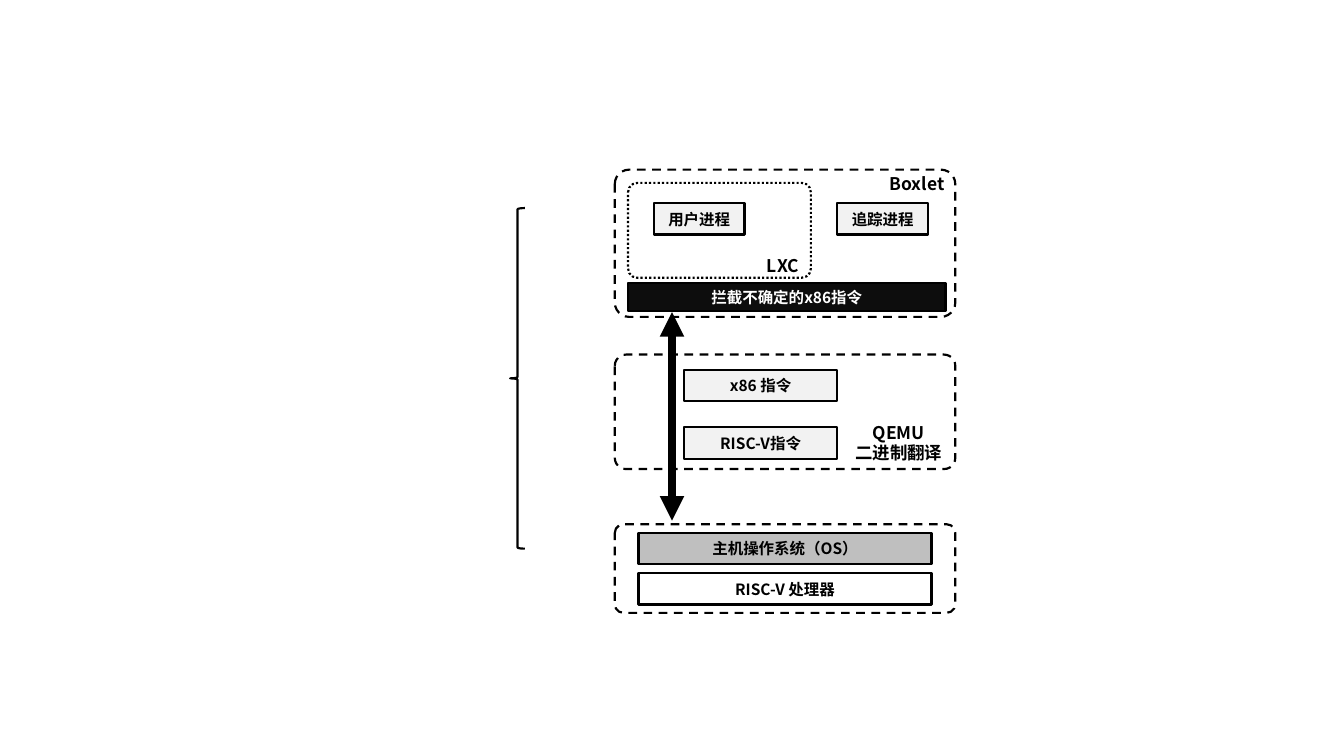
"""Draw the layered stack from the Boxlet container down to the RISC-V host."""
from dataclasses import dataclass

from lxml.etree import SubElement
from pptx import Presentation
from pptx.dml.color import RGBColor
from pptx.enum.dml import MSO_LINE
from pptx.enum.shapes import MSO_CONNECTOR, MSO_SHAPE
from pptx.enum.text import MSO_ANCHOR, MSO_AUTO_SIZE, PP_ALIGN
from pptx.oxml.ns import qn
from pptx.shapes.autoshape import Shape
from pptx.slide import Slide
from pptx.text.text import TextFrame
from pptx.util import Emu, Pt

EMU_PER_PX = 9144
FONT = "Noto Sans CJK SC"
OUTLINE_PT = 2.25
CORNER = 0.098
COLORS = {
    "black": "000000",
    "white": "FFFFFF",
    "process": "F2F2F2",
    "system": "BFBFBF",
    "intercept": "0D0D0D",
}


@dataclass(frozen=True)
class Box:
    left: int
    top: int
    width: int
    height: int


@dataclass(frozen=True)
class Layer:
    box: Box
    dash: MSO_LINE = MSO_LINE.DASH


@dataclass(frozen=True)
class Block:
    box: Box
    text: str
    fill: str = "process"
    ink: str = "black"


@dataclass(frozen=True)
class Label:
    box: Box
    lines: tuple[str, ...]


LAYERS = [
    Layer(Box(881, 751, 488, 127)),
    Layer(Box(881, 243, 488, 211)),
    Layer(Box(900, 262, 262, 136), MSO_LINE.ROUND_DOT),
    Layer(Box(881, 508, 488, 164)),
]
BLOCKS = [
    Block(Box(937, 291, 130, 45), "用户进程"),
    Block(Box(1200, 291, 130, 45), "追踪进程"),
    Block(Box(900, 406, 455, 40), "拦截不确定的x86指令", "intercept", "white"),
    Block(Box(980, 530, 220, 45), "x86 指令"),
    Block(Box(980, 612, 220, 45), "RISC-V指令"),
    Block(Box(915, 763, 420, 45), "主机操作系统（OS）", "system"),
    Block(Box(915, 821, 420, 45), "RISC-V 处理器", "white"),
]
LABELS = [
    Label(Box(1067, 360, 110, 40), ("LXC",)),
    Label(Box(1259, 243, 110, 40), ("Boxlet",)),
    Label(Box(1169, 599, 238, 71), ("QEMU", "二进制翻译")),
]
BRACE = Box(731, 298, 21, 488)


def px(length: int) -> Emu:
    """Turn px into EMU."""
    return Emu(length * EMU_PER_PX)


def place(box: Box) -> tuple[Emu, Emu, Emu, Emu]:
    """Give the left, top, width and height of a box in EMU."""
    return px(box.left), px(box.top), px(box.width), px(box.height)


def color(name: str) -> RGBColor:
    """Look up a colour by its name."""
    return RGBColor.from_string(COLORS[name])


def write(frame: TextFrame, lines: tuple[str, ...], size: int, ink: str) -> None:
    """Write centred bold lines, one paragraph each."""
    frame.word_wrap = True
    for index, line in enumerate(lines):
        paragraph = frame.add_paragraph() if index else frame.paragraphs[0]
        paragraph.alignment = PP_ALIGN.CENTER
        run = paragraph.add_run()
        run.text = line
        run.font.size = Pt(size)
        run.font.bold = True
        run.font.name = FONT
        run.font.color.rgb = color(ink)
        SubElement(run.font._element, qn("a:ea"), typeface=FONT)


def add_outlined(slide: Slide, kind: MSO_SHAPE, box: Box, fill: str | None) -> Shape:
    """Add a black-outlined shape, unfilled when no fill is named."""
    shape = slide.shapes.add_shape(kind, *place(box))
    shape.shadow.inherit = False
    shape.line.color.rgb = color("black")
    shape.line.width = Pt(OUTLINE_PT)
    if fill is None:
        shape.fill.background()
    else:
        shape.fill.solid()
        shape.fill.fore_color.rgb = color(fill)
    return shape


def add_layer(slide: Slide, layer: Layer) -> None:
    """Add the dashed rounded frame of a layer."""
    frame = add_outlined(slide, MSO_SHAPE.ROUNDED_RECTANGLE, layer.box, "white")
    frame.adjustments[0] = CORNER
    frame.line.dash_style = layer.dash


def add_block(slide: Slide, block: Block) -> None:
    """Add a captioned rectangle."""
    rectangle = add_outlined(slide, MSO_SHAPE.RECTANGLE, block.box, block.fill)
    rectangle.text_frame.vertical_anchor = MSO_ANCHOR.MIDDLE
    write(rectangle.text_frame, (block.text,), 16, block.ink)


def add_label(slide: Slide, label: Label) -> None:
    """Add the name of a layer."""
    caption = slide.shapes.add_textbox(*place(label.box)).text_frame
    write(caption, label.lines, 18, "black")
    caption.auto_size = MSO_AUTO_SIZE.SHAPE_TO_FIT_TEXT


def add_double_arrow(slide: Slide, x: int, bottom: int, top: int) -> None:
    """Add a thick vertical arrow with a head at each end."""
    arrow = slide.shapes.add_connector(
        MSO_CONNECTOR.STRAIGHT, px(x), px(bottom), px(x), px(top)
    )
    arrow.line.color.rgb = color("black")
    arrow.line.width = Pt(8.5)
    outline = arrow.line._get_or_add_ln()
    for end in ("a:headEnd", "a:tailEnd"):
        SubElement(outline, qn(end), type="triangle")
    SubElement(arrow._element.spPr, qn("a:effectLst"))


def main() -> None:
    """Build and save the slide."""
    deck = Presentation()
    deck.slide_width, deck.slide_height = px(1926), px(1083)
    slide = deck.slides.add_slide(deck.slide_layouts[6])
    for layer in LAYERS:
        add_layer(slide, layer)
    add_double_arrow(slide, 963, 746, 447)
    for block in BLOCKS:
        add_block(slide, block)
    for label in LABELS:
        add_label(slide, label)
    brace = add_outlined(slide, MSO_SHAPE.RIGHT_BRACE, BRACE, None)
    brace.rotation = 180
    deck.save("out.pptx")


if __name__ == "__main__":
    main()
